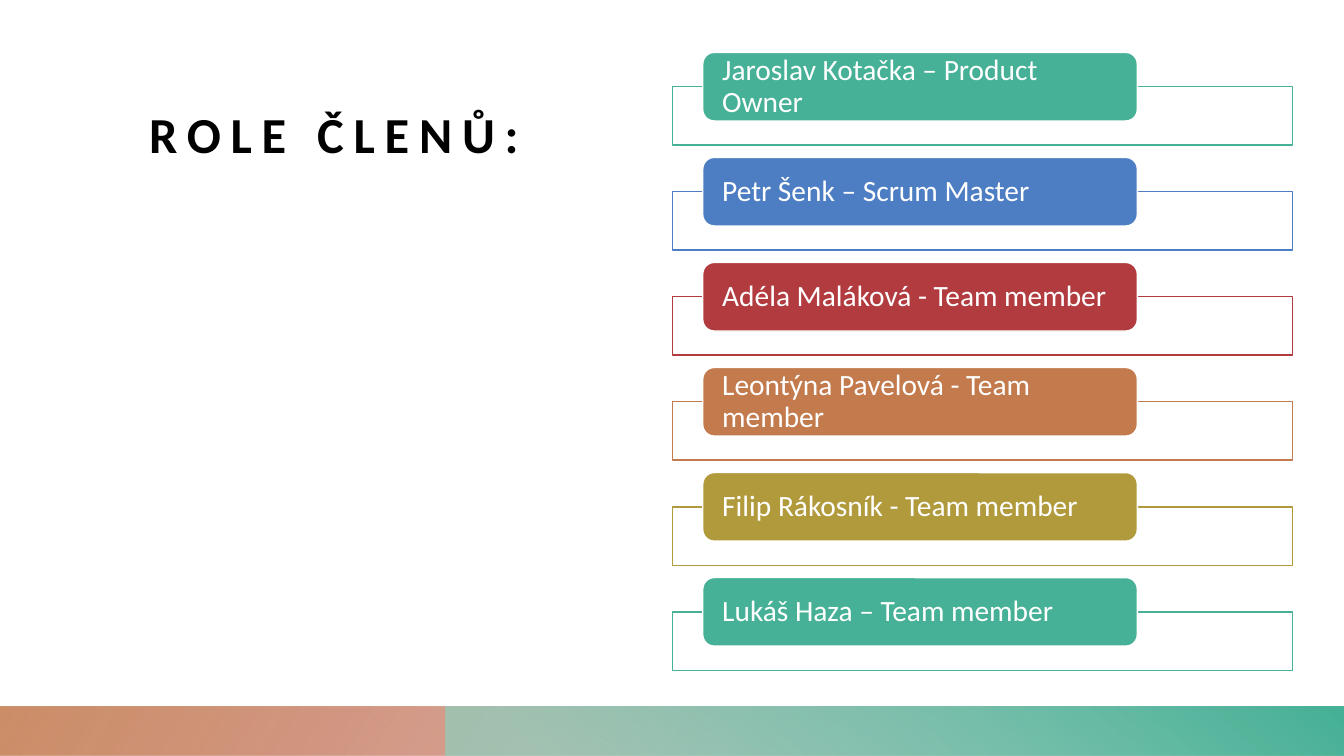
from dataclasses import dataclass

from lxml import etree
from pptx import Presentation
from pptx.dml.color import RGBColor
from pptx.enum.shapes import MSO_SHAPE
from pptx.enum.text import MSO_ANCHOR, MSO_AUTO_SIZE, PP_ALIGN
from pptx.oxml.ns import qn
from pptx.util import Inches, Pt

RECTANGLE, ROUNDED = MSO_SHAPE.RECTANGLE, MSO_SHAPE.ROUNDED_RECTANGLE
TOP, MIDDLE = MSO_ANCHOR.TOP, MSO_ANCHOR.MIDDLE
LEFT = PP_ALIGN.LEFT
NO_FIT = MSO_AUTO_SIZE.NONE


@dataclass(frozen=True)
class Theme:
    font: str = "Calibri"
    title_size: float = 36
    role_size: float = 21
    white: str = "FFFFFF"
    black: str = "000000"
    green: str = "46B196"
    mint: str = "8ED2C1"
    blue: str = "4D7EC3"
    red: str = "B13B3E"
    orange: str = "C37B4D"
    olive: str = "B19A3B"


theme = Theme()


def add_box(page, preset, left, top, width, height, fill, line=None):
    box = page.shapes.add_shape(
        preset, Inches(left), Inches(top), Inches(width), Inches(height)
    )
    box.shadow.inherit = False
    box.fill.solid()
    box.fill.fore_color.rgb = RGBColor.from_string(fill)
    if line:
        box.line.color.rgb = RGBColor.from_string(line)
        box.line.width = Pt(1)
    else:
        box.line.fill.background()
    return box


def set_gradient(box, angle, stops):
    box.fill.gradient()
    box.fill.gradient_angle = angle
    for stop, (position, color, opacity) in zip(box.fill.gradient_stops, stops):
        stop.position = position
        stop.color.rgb = RGBColor.from_string(color)
    for node, (position, color, opacity) in zip(
        box.element.spPr.iter(qn("a:srgbClr")), stops
    ):
        etree.SubElement(node, qn("a:alpha"), val=str(opacity * 1000))


deck = Presentation()
deck.slide_width = Inches(13.33)
deck.slide_height = Inches(7.5)
page = deck.slides.add_slide(deck.slide_layouts[5])

title = page.shapes.title
title.left, title.top = Inches(1.48), Inches(1.02)
title.width, title.height = Inches(5.02), Inches(4.99)
frame = title.text_frame
frame.auto_size = NO_FIT
frame.vertical_anchor = TOP
frame.margin_left = frame.margin_right = frame.margin_top = frame.margin_bottom = 0
para = frame.paragraphs[0]
para.alignment = LEFT
para.font.name = theme.font
para.font.size = Pt(theme.title_size)
para.font.bold = True
para.font.color.rgb = RGBColor.from_string(theme.black)
span = para.add_run()
span.text = "ROLE ČLENŮ:"
span.font._element.set("spc", "700")

BAR_TOP, BAR_HEIGHT = 7.01, 0.49
bars = [
    (0, 13.33, 150, [(0.14, theme.red, 28), (1, theme.orange, 85)]),
    (4.42, 8.91, 50, [(0.09, theme.mint, 68), (0.99, theme.green, 100)]),
]
for left, width, angle, stops in bars:
    bar = add_box(page, RECTANGLE, left, BAR_TOP, width, BAR_HEIGHT, theme.white)
    set_gradient(bar, angle, stops)

FIRST_TOP, ROW_STEP = 0.52, 1.042
roles = [
    ("Jaroslav Kotačka – Product Owner", theme.green),
    ("Petr Šenk – Scrum Master", theme.blue),
    ("Adéla Maláková - Team member", theme.red),
    ("Leontýna Pavelová - Team member", theme.orange),
    ("Filip Rákosník - Team member", theme.olive),
    ("Lukáš Haza – Team member", theme.green),
]
for row, (role, color) in enumerate(roles):
    top = FIRST_TOP + row * ROW_STEP
    add_box(page, RECTANGLE, 6.67, top + 0.34, 6.15, 0.58, theme.white, color)
    label = add_box(page, ROUNDED, 6.97, top, 4.31, 0.68, color, theme.white)
    frame = label.text_frame
    frame.word_wrap = True
    frame.vertical_anchor = MIDDLE
    frame.margin_left = frame.margin_right = Inches(0.16)
    frame.margin_top = frame.margin_bottom = 0
    para = frame.paragraphs[0]
    para.text = role
    para.alignment = LEFT
    para.line_spacing = 0.9
    para.font.name = theme.font
    para.font.size = Pt(theme.role_size)
    para.font.color.rgb = RGBColor.from_string(theme.white)

deck.save("out.pptx")
